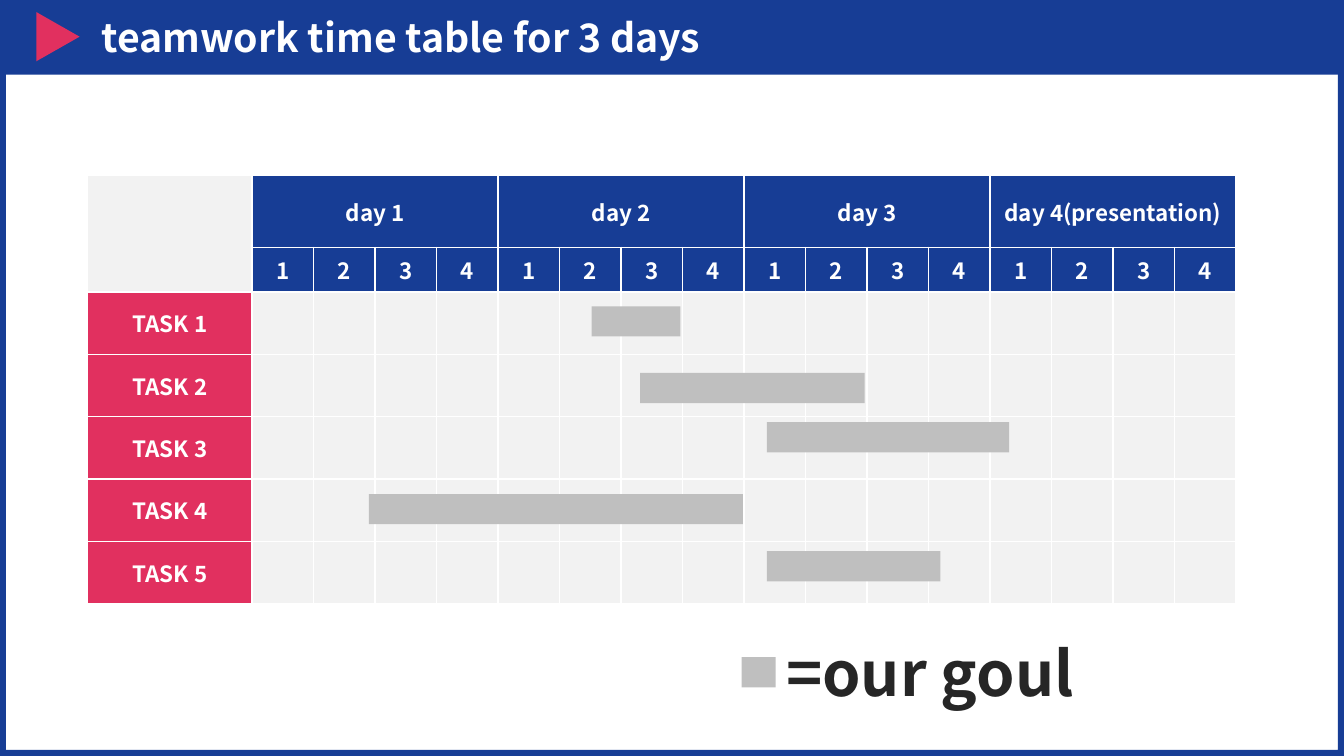
import pptx
import pptx.dml.color
import pptx.enum.shapes
import pptx.enum.text
import pptx.oxml
import pptx.oxml.ns
import pptx.util

Cm = pptx.util.Cm
Pt = pptx.util.Pt
SHAPE = pptx.enum.shapes.MSO_SHAPE
ANCHOR = pptx.enum.text.MSO_ANCHOR
ALIGN = pptx.enum.text.PP_ALIGN

FONT = "Noto Sans CJK SC"
COLORS = {
    "blue": "173D95",
    "pink": "E1305F",
    "cell": "F2F2F2",
    "bar": "BFBFBF",
    "white": "FFFFFF",
    "dark": "262626",
}

SLIDE_WIDTH, SLIDE_HEIGHT = 33.87, 19.05
HEADER_HEIGHT = 1.88
DAYS = ["day 1", "day 2", "day 3", "day 4(presentation)"]
SLOTS_PER_DAY = 4
TASK_COUNT = 5
NAME_WIDTH, SLOT_WIDTH = 4.14, 1.55
DAY_HEIGHT, SLOT_HEIGHT, TASK_HEIGHT = 1.8, 1.13, 1.57
TABLE_LEFT, TABLE_TOP = 2.21, 4.43
BAR_HEIGHT = 0.76
GOAL_BARS = [  # left, top, width
    (14.91, 7.72, 2.24),
    (16.13, 9.4, 5.66),
    (19.33, 10.64, 6.1),
    (9.3, 12.45, 9.42),
    (19.33, 13.89, 4.37),
]


def rgb(color):
    return pptx.dml.color.RGBColor.from_string(COLORS[color])


def add_block(slide, kind, box, color):
    """Add a filled preset shape without outline; box is in centimetres."""
    shape = slide.shapes.add_shape(kind, *map(Cm, box))
    shape.shadow.inherit = False
    shape.fill.solid()
    shape.fill.fore_color.rgb = rgb(color)
    shape.line.fill.background()
    return shape


def write_text(text_frame, text, size, color, align):
    paragraph = text_frame.paragraphs[0]
    paragraph.alignment = align
    run = paragraph.add_run()
    run.text = text
    font_format = {"name": FONT, "size": Pt(size), "bold": True}
    for name, value in font_format.items():
        setattr(run.font, name, value)
    run.font.color.rgb = rgb(color)


def add_label(slide, box, text, size, color, frame_format):
    text_frame = slide.shapes.add_textbox(*map(Cm, box)).text_frame
    for name, value in frame_format.items():
        setattr(text_frame, name, value)
    write_text(text_frame, text, size, color, ALIGN.LEFT)


def add_borders(cell):
    properties = cell._tc.get_or_add_tcPr()
    for side in ("lnL", "lnR", "lnT", "lnB"):
        properties.append(pptx.oxml.parse_xml(
            f'<a:{side} {pptx.oxml.ns.nsdecls("a")} w="{Pt(1)}"><a:solidFill>'
            f'<a:srgbClr val="{COLORS["white"]}"/></a:solidFill></a:{side}>'
        ))


def style_cell(cell, color, text=""):
    add_borders(cell)
    cell.fill.solid()
    cell.fill.fore_color.rgb = rgb(color)
    cell_format = {
        "vertical_anchor": ANCHOR.MIDDLE,
        "margin_left": Cm(0.32),
        "margin_right": Cm(0.32),
        "margin_top": Cm(0.16),
        "margin_bottom": Cm(0.16),
    }
    for name, value in cell_format.items():
        setattr(cell, name, value)
    if text:
        write_text(cell.text_frame, text, 16, "white", ALIGN.CENTER)


def cell_content(row, column):
    """Return the fill colour and text of a timetable cell."""
    day, slot = divmod(column - 1, SLOTS_PER_DAY)
    if column == 0:
        return ("cell", "") if row < 2 else ("pink", f"TASK {row - 1}")
    if row == 0:
        return "blue", DAYS[day] if slot == 0 else ""
    if row == 1:
        return "blue", str(slot + 1)
    return "cell", ""


def add_timetable(slide):
    widths = [NAME_WIDTH] + [SLOT_WIDTH] * (len(DAYS) * SLOTS_PER_DAY)
    heights = [DAY_HEIGHT, SLOT_HEIGHT] + [TASK_HEIGHT] * TASK_COUNT
    table = slide.shapes.add_table(
        len(heights), len(widths), Cm(TABLE_LEFT), Cm(TABLE_TOP),
        Cm(sum(widths)), Cm(sum(heights)),
    ).table
    table.first_row = table.horz_banding = False
    for column, width in zip(table.columns, widths):
        column.width = Cm(width)
    for row, height in zip(table.rows, heights):
        row.height = Cm(height)
    for row in range(len(heights)):
        for column in range(len(widths)):
            style_cell(table.cell(row, column), *cell_content(row, column))
    table.cell(0, 0).merge(table.cell(1, 0))
    for first in range(1, len(widths), SLOTS_PER_DAY):
        table.cell(0, first).merge(table.cell(0, first + SLOTS_PER_DAY - 1))


def add_header(slide):
    frame = add_block(slide, SHAPE.FRAME, (0, 0, SLIDE_WIDTH, SLIDE_HEIGHT), "blue")
    frame.adjustments[0] = 0.008
    add_block(slide, SHAPE.RECTANGLE, (0, 0, SLIDE_WIDTH, HEADER_HEIGHT), "blue")
    marker = add_block(slide, SHAPE.ISOSCELES_TRIANGLE, (0.84, 0.38, 1.24, 1.09), "pink")
    marker.rotation = 90
    add_label(slide, (2.31, 0, 30.43, HEADER_HEIGHT), "teamwork time table for 3 days",
              28, "white", {"word_wrap": True, "vertical_anchor": ANCHOR.MIDDLE})


def add_legend(slide):
    add_block(slide, SHAPE.RECTANGLE, (18.69, 16.56, 0.86, BAR_HEIGHT), "bar")
    add_label(slide, (19.56, 15.88, 10.13, 2.13), "=our goul", 44, "dark",
              {"word_wrap": True,
               "auto_size": pptx.enum.text.MSO_AUTO_SIZE.SHAPE_TO_FIT_TEXT})


def main():
    presentation = pptx.Presentation()
    presentation.slide_width = Cm(SLIDE_WIDTH)
    presentation.slide_height = Cm(SLIDE_HEIGHT)
    slide = presentation.slides.add_slide(presentation.slide_layouts[6])
    add_header(slide)
    add_timetable(slide)
    add_legend(slide)
    for left, top, width in GOAL_BARS:
        add_block(slide, SHAPE.RECTANGLE, (left, top, width, BAR_HEIGHT), "bar")
    presentation.save("out.pptx")


if __name__ == "__main__":
    main()
